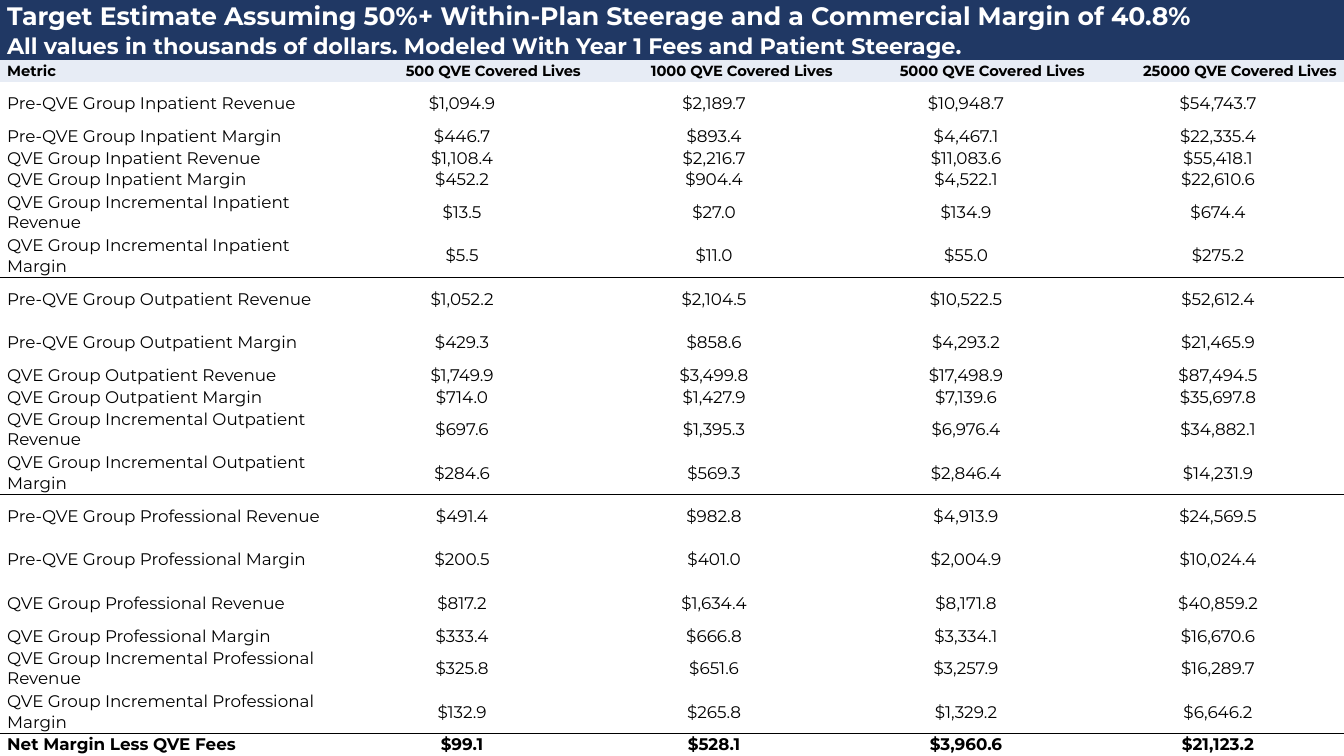
from dataclasses import dataclass

import lxml.etree
import pptx
import pptx.dml.color
import pptx.enum.text
import pptx.oxml.ns
import pptx.table
import pptx.util

Cm = pptx.util.Cm
Align = pptx.enum.text.PP_ALIGN


@dataclass(frozen=True)
class Theme:
    font: str = "Montserrat"
    navy: str = "203864"
    pale: str = "E7ECF5"
    white: str = "FFFFFF"
    black: str = "000000"
    title_size: float = 18
    subtitle_size: float = 16
    header_size: float = 10.5
    body_size: float = 12
    rule_width: float = 1


@dataclass(frozen=True)
class RowStyle:
    size: float
    color: str
    bold: bool = False
    fill: str | None = None
    value_align: Align = Align.CENTER


@dataclass(frozen=True)
class Row:
    texts: tuple[str, ...]
    height: int
    style: RowStyle
    border: str | None = None


@dataclass(frozen=True)
class Service:
    """One block of six metrics; lines holds each row's height in text lines."""
    name: str
    lines: tuple[int, ...]
    values: tuple[str, ...]


THEME = Theme()
TITLE = RowStyle(THEME.title_size, THEME.white, True, THEME.navy)
SUBTITLE = RowStyle(THEME.subtitle_size, THEME.white, True, THEME.navy)
HEADER = RowStyle(THEME.header_size, THEME.black, True, THEME.pale, Align.RIGHT)
BODY = RowStyle(THEME.body_size, THEME.black)
TOTAL = RowStyle(THEME.body_size, THEME.black, True)

PAGE_WIDTH, PAGE_HEIGHT = Cm(33.87), Cm(19.05)
COLUMN_WIDTHS = [Cm(8.47)] + [Cm(6.35)] * 4
TITLE_HEIGHT, SUBTITLE_HEIGHT = Cm(0.81), Cm(0.71)
SIDE_MARGIN = Cm(0.18)
NO_GRID_STYLE = "{2D5ABB26-0587-4C30-8999-92F81FD0307C}"
CELL_SIDES = ("lnL", "lnR", "lnT", "lnB")

COVERED_LIVES = (500, 1000, 5000, 25000)
METRICS = (
    "Pre-QVE Group {} Revenue",
    "Pre-QVE Group {} Margin",
    "QVE Group {} Revenue",
    "QVE Group {} Margin",
    "QVE Group Incremental {} Revenue",
    "QVE Group Incremental {} Margin",
)
SERVICES = (
    Service("Inpatient", (2, 1, 1, 1, 2, 2), (
        "$1,094.9 $2,189.7 $10,948.7 $54,743.7",
        "$446.7 $893.4 $4,467.1 $22,335.4",
        "$1,108.4 $2,216.7 $11,083.6 $55,418.1",
        "$452.2 $904.4 $4,522.1 $22,610.6",
        "$13.5 $27.0 $134.9 $674.4",
        "$5.5 $11.0 $55.0 $275.2",
    )),
    Service("Outpatient", (2, 2, 1, 1, 2, 2), (
        "$1,052.2 $2,104.5 $10,522.5 $52,612.4",
        "$429.3 $858.6 $4,293.2 $21,465.9",
        "$1,749.9 $3,499.8 $17,498.9 $87,494.5",
        "$714.0 $1,427.9 $7,139.6 $35,697.8",
        "$697.6 $1,395.3 $6,976.4 $34,882.1",
        "$284.6 $569.3 $2,846.4 $14,231.9",
    )),
    Service("Professional", (2, 2, 2, 1, 2, 2), (
        "$491.4 $982.8 $4,913.9 $24,569.5",
        "$200.5 $401.0 $2,004.9 $10,024.4",
        "$817.2 $1,634.4 $8,171.8 $40,859.2",
        "$333.4 $666.8 $3,334.1 $16,670.6",
        "$325.8 $651.6 $3,257.9 $16,289.7",
        "$132.9 $265.8 $1,329.2 $6,646.2",
    )),
)
NET_MARGIN = ("Net Margin Less QVE Fees", "$99.1", "$528.1", "$3,960.6", "$21,123.2")


def build_rows() -> list[Row]:
    # The header and the net margin take one text line each.
    line_count = 2 + sum(sum(service.lines) for service in SERVICES)
    line_height = (PAGE_HEIGHT - TITLE_HEIGHT - SUBTITLE_HEIGHT) // line_count
    headings = ("Metric", *(f"{lives} QVE Covered Lives" for lives in COVERED_LIVES))
    rows = [
        Row(("Target Estimate Assuming 50%+ Within-Plan Steerage and a "
             "Commercial Margin of 40.8%",), TITLE_HEIGHT, TITLE),
        Row(("All values in thousands of dollars. Modeled With Year 1 Fees "
             "and Patient Steerage.",), SUBTITLE_HEIGHT, SUBTITLE),
        Row(headings, line_height, HEADER),
    ]
    for number, service in enumerate(SERVICES):
        borders = ["lnT" if number else None, None, None, None, None, "lnB"]
        for metric, lines, values, border in zip(
                METRICS, service.lines, service.values, borders):
            texts = (metric.format(service.name), *values.split())
            rows.append(Row(texts, lines * line_height, BODY, border))
    rows.append(Row(NET_MARGIN, line_height, TOTAL, "lnT"))
    return rows


def set_borders(cell: pptx.table._Cell, ruled_side: str | None) -> None:
    """Rule one side of the cell and clear the others."""
    qn = pptx.oxml.ns.qn
    properties = cell._tc.get_or_add_tcPr()
    for side in CELL_SIDES:
        line = lxml.etree.SubElement(properties, qn(f"a:{side}"))
        if side == ruled_side:
            line.set("w", str(pptx.util.Pt(THEME.rule_width)))
            fill = lxml.etree.SubElement(line, qn("a:solidFill"))
            lxml.etree.SubElement(fill, qn("a:srgbClr")).set("val", THEME.black)
        else:
            lxml.etree.SubElement(line, qn("a:noFill"))


def format_cell(cell: pptx.table._Cell, row: Row) -> None:
    cell.vertical_anchor = pptx.enum.text.MSO_ANCHOR.MIDDLE
    cell.margin_top = cell.margin_bottom = 0
    cell.margin_left = cell.margin_right = SIDE_MARGIN
    set_borders(cell, row.border)
    if row.style.fill:
        cell.fill.solid()
        cell.fill.fore_color.rgb = pptx.dml.color.RGBColor.from_string(row.style.fill)
    else:
        cell.fill.background()


def write_cell(cell: pptx.table._Cell, text: str, style: RowStyle, align: Align) -> None:
    para = cell.text_frame.paragraphs[0]
    para.alignment = align
    span = para.add_run()
    span.text = text
    span.font.name = THEME.font
    span.font.size = pptx.util.Pt(style.size)
    span.font.bold = style.bold
    span.font.color.rgb = pptx.dml.color.RGBColor.from_string(style.color)


def fill_row(table: pptx.table.Table, index: int, row: Row) -> None:
    table.rows[index].height = row.height
    cells = [table.cell(index, column) for column in range(len(COLUMN_WIDTHS))]
    for cell in cells:
        format_cell(cell, row)
    if len(row.texts) == 1:
        cells[0].merge(cells[-1])
    for column, text in enumerate(row.texts):
        align = row.style.value_align if column else Align.LEFT
        write_cell(cells[column], text, row.style, align)


def main() -> None:
    deck = pptx.Presentation()
    deck.slide_width, deck.slide_height = PAGE_WIDTH, PAGE_HEIGHT
    page = deck.slides.add_slide(deck.slide_layouts.get_by_name("Blank"))
    rows = build_rows()
    table = page.shapes.add_table(
        len(rows), len(COLUMN_WIDTHS), 0, 0, PAGE_WIDTH, PAGE_HEIGHT).table
    table.first_row = table.horz_banding = False
    table._tbl.tblPr.find(pptx.oxml.ns.qn("a:tableStyleId")).text = NO_GRID_STYLE
    for column, width in zip(table.columns, COLUMN_WIDTHS):
        column.width = width
    for index, row in enumerate(rows):
        fill_row(table, index, row)
    deck.save("out.pptx")


if __name__ == "__main__":
    main()
